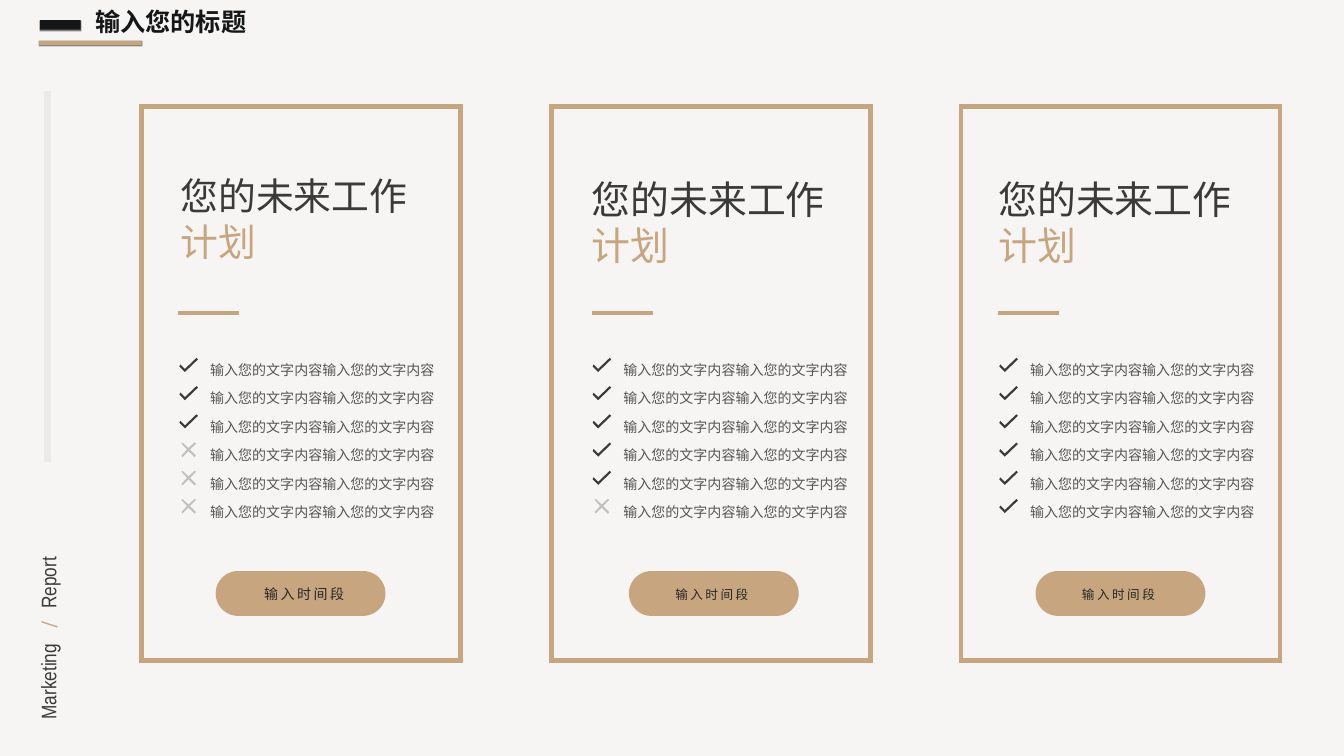
from lxml import etree
from pptx import Presentation
from pptx import util as u
from pptx.dml.color import RGBColor
from pptx.enum import shapes, text
from pptx.oxml import ns

PAPER = RGBColor(0xF6, 0xF5, 0xF3)
GOLD = RGBColor(0xC7, 0xA5, 0x7F)
DARK = RGBColor(0x3A, 0x3B, 0x39)
INK = RGBColor(0x15, 0x16, 0x18)
BODY = RGBColor(0x55, 0x55, 0x58)
LABEL = RGBColor(0x27, 0x27, 0x27)
MUTED = RGBColor(0xC1, 0xC0, 0xBE)
RAIL = RGBColor(0xEB, 0xEA, 0xE7)

CJK, NARROW, ROBOTO = "Noto Sans CJK SC", "Arial Narrow", "Roboto Condensed"
ITEM = "输入您的文字内容"
ROWS = 6

# Icon outlines, in inches from the icon's top left
CHECK = [(0.11, 0.22), (0.02, 0.13), (0, 0.17), (0.11, 0.28), (0.37, 0.03), (0.34, 0)]
CROSS = [(0.29, 0.02), (0.26, 0), (0.14, 0.11), (0.02, 0), (0, 0.02), (0.11, 0.14),
         (0, 0.26), (0.02, 0.29), (0.14, 0.17), (0.26, 0.29), (0.29, 0.26), (0.17, 0.14)]

# Content left, number of checks, and the title and label settings of each card
CARDS = [
    dict(x=3.54, checks=3, head=(0, 3.39, 2.01, 54), label=(0.92, 11.57, 1.74, 0.42, 20)),
    dict(x=11.74, checks=5, head=(-0.04, 3.44, 2.42, 55.5), label=(0.88, 11.59, 1.6, 0.39, 18)),
    dict(x=19.81, checks=6, head=(-0.04, 3.44, 2.42, 55.5), label=(0.88, 11.59, 1.6, 0.39, 18)),
]


def add(parent, tag, **attrs):
    node = etree.SubElement(parent, ns.qn(tag))
    for key, val in attrs.items():
        node.set(key, str(val))
    return node


def paint(shape, fill):
    shape.shadow.inherit = False
    shape.fill.solid()
    shape.fill.fore_color.rgb = fill
    shape.line.fill.background()


def block(parts, box, fill, kind=shapes.MSO_SHAPE.RECTANGLE):
    shape = parts.add_shape(kind, *map(u.Inches, box))
    paint(shape, fill)
    return shape


def frame(parts, box):
    shape = block(parts, box, PAPER)
    shape.fill.background()
    shape.line.color.rgb = GOLD
    shape.line.width = u.Pt(7)
    add(shape.line._get_or_add_ln(), "a:miter", lim=800000)


def cast(shape):
    """Give a bar its thin drop shadow."""
    glow = add(shape._element.spPr.find(ns.qn("a:effectLst")), "a:outerShdw",
               blurRad=u.Pt(1), dist=u.Pt(1), dir=90 * 60000, rotWithShape=0)
    add(add(glow, "a:srgbClr", val="000000"), "a:alpha", val=50000)


def line(parts, start, end, color, width):
    link = parts.add_connector(shapes.MSO_CONNECTOR.STRAIGHT, *map(u.Inches, start + end))
    link.line.color.rgb = color
    link.line.width = u.Pt(width)
    add(link._element.spPr, "a:effectLst")


def icon(parts, left, top, points, fill):
    path = [(u.Inches(left + x), u.Inches(top + y)) for x, y in points]
    pen = parts.build_freeform(*path[0])
    pen.add_line_segments(path[1:], close=True)
    paint(pen.convert_to_shape(), fill)


def textbox(parts, box, wrap=True, inset=0.04, middle=False):
    shape = parts.add_textbox(*map(u.Inches, box))
    body = shape.text_frame
    body.word_wrap = wrap
    body.vertical_anchor = text.MSO_ANCHOR.MIDDLE if middle else text.MSO_ANCHOR.TOP
    for side in ("left", "top", "right", "bottom"):
        setattr(body, "margin_" + side, u.Inches(inset))
    return shape


def write(para, words, face, space=None, **style):
    run = para.add_run()
    run.text = words
    color = style.pop("color")
    for key, val in dict(name=face, **style).items():
        setattr(run.font, key, val)
    run.font.color.rgb = color
    props = run.font._element
    add(props, "a:ea", typeface=face)
    if space:
        props.set("spc", str(space))


def header(parts):
    cast(block(parts, (0.79, 0.4, 0.81, 0.19), INK))
    cast(block(parts, (0.77, 0.81, 2.04, 0.08), GOLD))
    box = textbox(parts, (1.79, 0.08, 3.23, 0.71), wrap=False, inset=0.1)
    box.text_frame.margin_top = box.text_frame.margin_bottom = u.Inches(0.05)
    write(box.text_frame.paragraphs[0], "输入您的标题", CJK,
          size=u.Pt(36), bold=True, color=INK)


def rail(parts):
    line(parts, (0.95, 9.16), (0.95, 1.81), RAIL, 10)
    box = textbox(parts, (-1.1, 11.97, 4.1, 0.59), middle=True)
    box.rotation = 270
    para = box.text_frame.paragraphs[0]
    tabs = add(para._p.get_or_add_pPr(), "a:tabLst")
    for stop in (1.81, 2.2):
        add(tabs, "a:tab", pos=u.Inches(stop), algn="l")
    for words, face, color in (("Marketing\t", NARROW, DARK), ("/\t", ROBOTO, GOLD),
                               ("Report", NARROW, DARK)):
        write(para, words, face, size=u.Pt(30), color=color)


def card(parts, x, checks, head, label):
    # Two-line title and its rule
    shift, top, height, size = head
    body = textbox(parts, (x + shift, top, 4.92, height)).text_frame
    for para, words, color in ((body.paragraphs[0], "您的未来工作", DARK),
                               (body.add_paragraph(), "计划", GOLD)):
        para.line_spacing = u.Pt(size * 1.2)
        write(para, words, CJK, size=u.Pt(size), color=color)
    line(parts, (x, 6.21), (x + 1.21, 6.21), GOLD, 7)

    # List, two phrases to a row, with one icon per row
    para = textbox(parts, (x + 0.59, 6.89, 4.65, 3.47)).text_frame.paragraphs[0]
    para.line_spacing = u.Pt(40.8)
    write(para, ITEM * 2 * ROWS, CJK, size=u.Pt(20), color=BODY)
    for row in range(ROWS):
        top = 7.1 + 0.56 * row
        if row < checks:
            icon(parts, x + 0.02, top, CHECK, DARK)
        else:
            icon(parts, x + 0.06, top, CROSS, MUTED)

    # Pill with its period label
    group = parts.add_group_shape().shapes
    pill = block(group, (x + 0.74, 11.33, 3.37, 0.89), GOLD,
                 shapes.MSO_SHAPE.ROUNDED_RECTANGLE)
    pill.adjustments[0] = 0.5
    shift, top, width, height, size = label
    box = textbox(group, (x + 0.74 + shift, top, width, height), wrap=False, middle=True)
    write(box.text_frame.paragraphs[0], "输入时间段", CJK, space=360,
          size=u.Pt(size), color=LABEL)


def main():
    deck = Presentation()
    deck.slide_width, deck.slide_height = u.Inches(26.67), u.Inches(15)
    slide = deck.slides.add_slide(deck.slide_layouts[6])
    slide.background.fill.solid()
    slide.background.fill.fore_color.rgb = PAPER
    parts = slide.shapes

    rail(parts)
    for col in range(len(CARDS)):
        frame(parts, (2.81 + 8.13 * col, 2.12, 6.33, 10.99))
    for plan in CARDS:
        card(parts, **plan)
    header(parts)
    deck.save("out.pptx")


if __name__ == "__main__":
    main()
